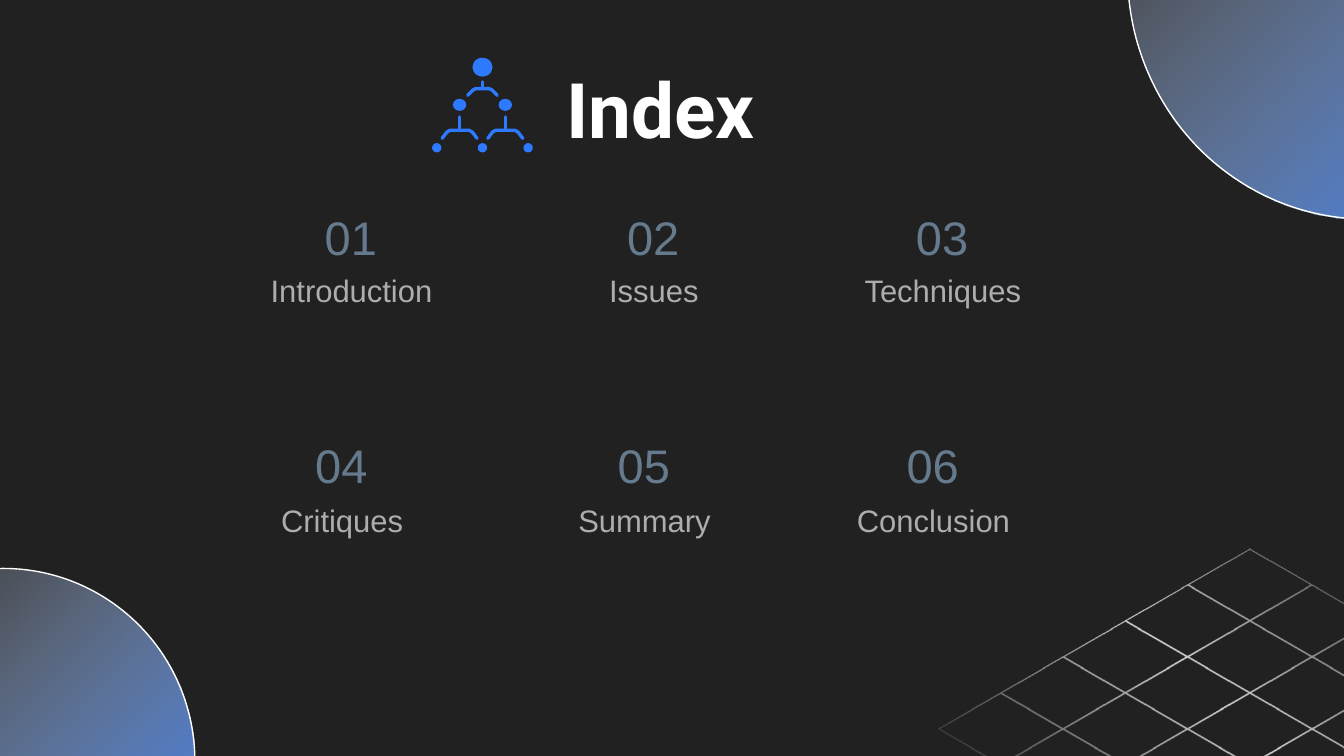
from pptx import Presentation
from pptx.dml.color import RGBColor
from pptx.enum import shapes, text
from pptx.oxml import parse_xml
from pptx.oxml.ns import nsdecls
from pptx.util import Inches, Pt

DARK = RGBColor(0x21, 0x21, 0x21)
WHITE = RGBColor(0xFF, 0xFF, 0xFF)
BLUE = RGBColor(0x2D, 0x7A, 0xFF)
SLATE = RGBColor(0x65, 0x7A, 0x8D)
GRAY = RGBColor(0xAD, 0xAD, 0xAD)

TITLE = {"size": Pt(41), "name": "Roboto", "bold": True}
NUMBER = {"size": Pt(25.2), "name": "Arial", "bold": False}
LABEL = {"size": Pt(16.6), "name": "Arial", "bold": False}
FRAME = {
    "word_wrap": True,
    "auto_size": text.MSO_AUTO_SIZE.NONE,
    "vertical_anchor": text.MSO_ANCHOR.TOP,
    "margin_left": Inches(0.1),
    "margin_right": Inches(0.1),
    "margin_top": Inches(0.1),
    "margin_bottom": Inches(0.1),
}
TOPICS = ["Introduction", "Issues", "Techniques",
          "Critiques", "Summary", "Conclusion"]


def apply(item, values):
    for key, value in values.items():
        setattr(item, key, value)


def write(box, words, font, color, para=None):
    frame = box.text_frame
    apply(frame, FRAME)
    line = frame.paragraphs[0]
    apply(line, {"alignment": text.PP_ALIGN.CENTER, **(para or {})})
    run = line.add_run()
    run.text = words
    apply(run.font, font)
    run.font.color.rgb = color


def add_text(slide, spot, words, font, color, para=None):
    box = slide.shapes.add_textbox(*map(Inches, spot))
    write(box, words, font, color, para)


def shade(shape, stops, course):
    marks = "".join(
        f'<a:gs pos="{pos * 1000}"><a:srgbClr val="{color}">'
        f'<a:alpha val="{alpha * 1000}"/></a:srgbClr></a:gs>'
        for pos, color, alpha in stops)
    shape.fill.background()
    props = shape._element.spPr
    blank = props.find("{*}noFill")
    props.replace(blank, parse_xml(
        f'<a:gradFill {nsdecls("a")} rotWithShape="1">'
        f'<a:gsLst>{marks}</a:gsLst>{course}</a:gradFill>'))


def add_path(group, parts, closed):
    first, *rest = [[(Inches(x), Inches(y)) for x, y in part]
                    for part in parts]
    pen = group.build_freeform(*first[0], scale=1.0)
    pen.add_line_segments(first[1:], close=closed)
    for part in rest:
        pen.move_to(*part[0])
        pen.add_line_segments(part[1:], close=closed)
    shape = pen.convert_to_shape()
    shape.shadow.inherit = False
    return shape


def diamond(x, y, wide, high):
    return [(x, y - high), (x + wide, y), (x, y + high), (x - wide, y)]


def add_grid(slide):
    parts = [diamond(9.3, 5.42, 2.32, 1.34)]
    across, down = 1.85 / 4, 1.07 / 4
    for row in range(5):
        for col in range(5):
            x = 9.3 + (col - row) * across
            y = 5.42 + (col + row - 4) * down
            parts.append(diamond(x, y, 0.45, 0.26))
    grid = add_path(slide.shapes, parts, True)
    grid.line.fill.background()
    stops = [(pos, WHITE, alpha) for pos, alpha in
             [(0, 0), (13, 0), (50, 80), (88, 0), (100, 0)]]
    shade(grid, stops, '<a:lin ang="8100000" scaled="0"/>')


def add_oval(group, spot):
    oval = group.add_shape(shapes.MSO_SHAPE.OVAL, *map(Inches, spot))
    oval.shadow.inherit = False
    return oval


def add_orb(slide, spot):
    orb = add_oval(slide.shapes, spot)
    shade(orb, [(0, WHITE, 0), (100, BLUE, 100)],
          '<a:path path="circle"><a:fillToRect r="100000" b="100000"/>'
          '</a:path>')
    orb.line.color.rgb = WHITE
    orb.line.width = Pt(0.75)


def add_dot(group, x, y, wide, high):
    dot = add_oval(group, (x - wide / 2, y - high / 2, wide, high))
    dot.fill.solid()
    dot.fill.fore_color.rgb = BLUE
    dot.line.fill.background()


def add_fork(group, x, top, bar, foot, half):
    arm = [(half, foot), (half - 0.03, bar + 0.02),
           (half - 0.04, bar + 0.01), (half - 0.06, bar)]
    left = [(x - dx, y) for dx, y in arm]
    right = [(x + dx, y) for dx, y in reversed(arm)]
    fork = add_path(group, [[(x, top), (x, bar)], left + right], False)
    fork.fill.background()
    fork.line.color.rgb = BLUE
    fork.line.width = Pt(1.8)
    fork._element.spPr.find("{*}ln").set("cap", "rnd")


def add_tree(slide):
    group = slide.shapes.add_group_shape().shapes
    mid, gap = 3.59, 0.34
    add_dot(group, mid, 0.5, 0.15, 0.14)
    add_fork(group, mid, 0.61, 0.66, 0.71, 0.11)
    for side in (-0.5, 0.5):
        x = mid + side * gap
        add_dot(group, x, 0.78, 0.1, 0.09)
        add_fork(group, x, 0.87, 0.97, 1.03, 0.13)
    for step in (-1, 0, 1):
        add_dot(group, mid + step * gap, 1.1, 0.07, 0.07)


def add_topics(slide):
    lefts = [1.68, 3.93, 6.08]
    for i, topic in enumerate(TOPICS):
        row, col = divmod(i, 3)
        x = lefts[col] - row * 0.07
        add_text(slide, (x, 1.88 + row * 1.71, 1.87, 0.48), topic,
                 LABEL, GRAY,
                 {"line_spacing": 1.15, "space_after": Pt(12)})
        add_text(slide, (x + 0.46, 1.45 + row * 1.7, 0.94, 0.57),
                 f"{i + 1:02}", NUMBER, SLATE)


def main():
    deck = Presentation()
    deck.slide_width = Inches(10)
    deck.slide_height = deck.slide_width * 9 // 16
    slide = deck.slides.add_slide(deck.slide_layouts[5])
    slide.background.fill.solid()
    slide.background.fill.fore_color.rgb = DARK
    title = slide.shapes.title
    apply(title, {"left": Inches(1.94), "top": Inches(0.36),
                  "width": Inches(5.95), "height": Inches(0.89)})
    write(title, "Index", TITLE, WHITE)
    add_grid(slide)
    add_orb(slide, (-1.4, 4.23, 2.85, 2.87))
    add_orb(slide, (8.39, -2.03, 3.56, 3.66))
    add_tree(slide)
    add_topics(slide)
    deck.save("out.pptx")


if __name__ == "__main__":
    main()
